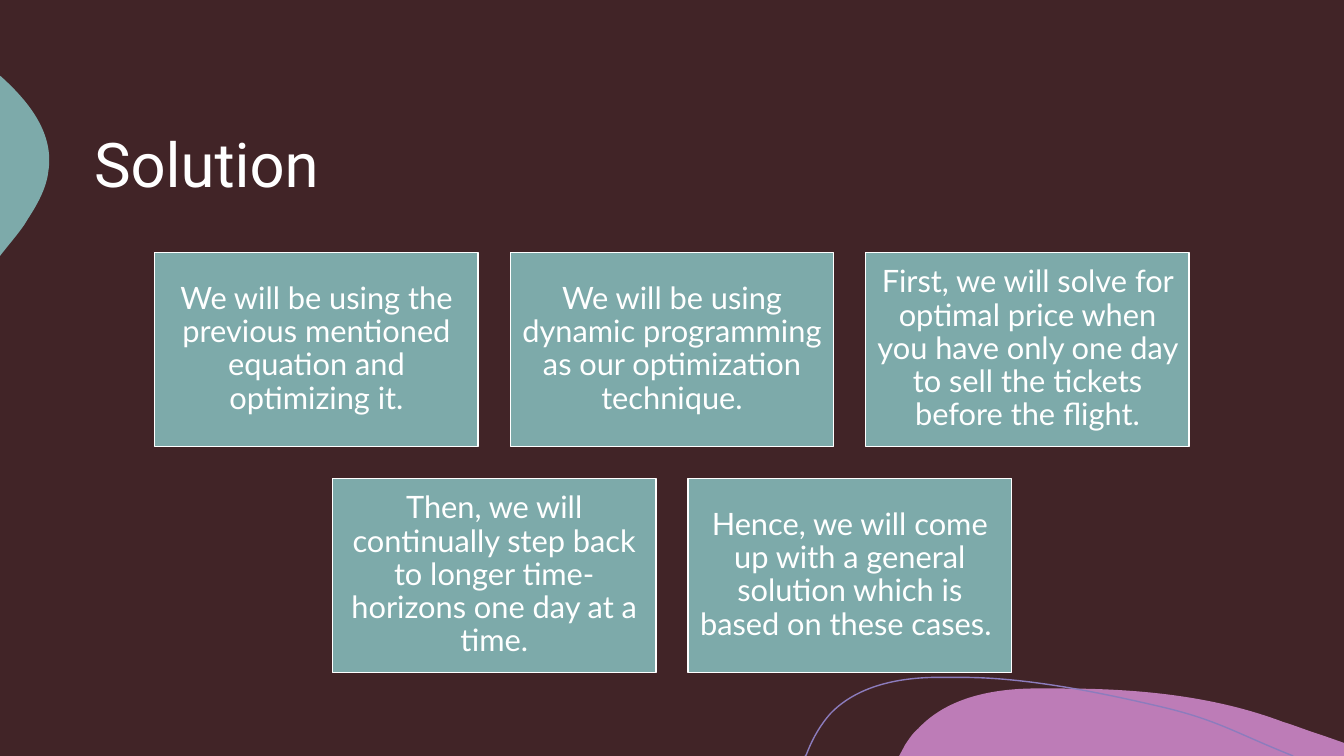
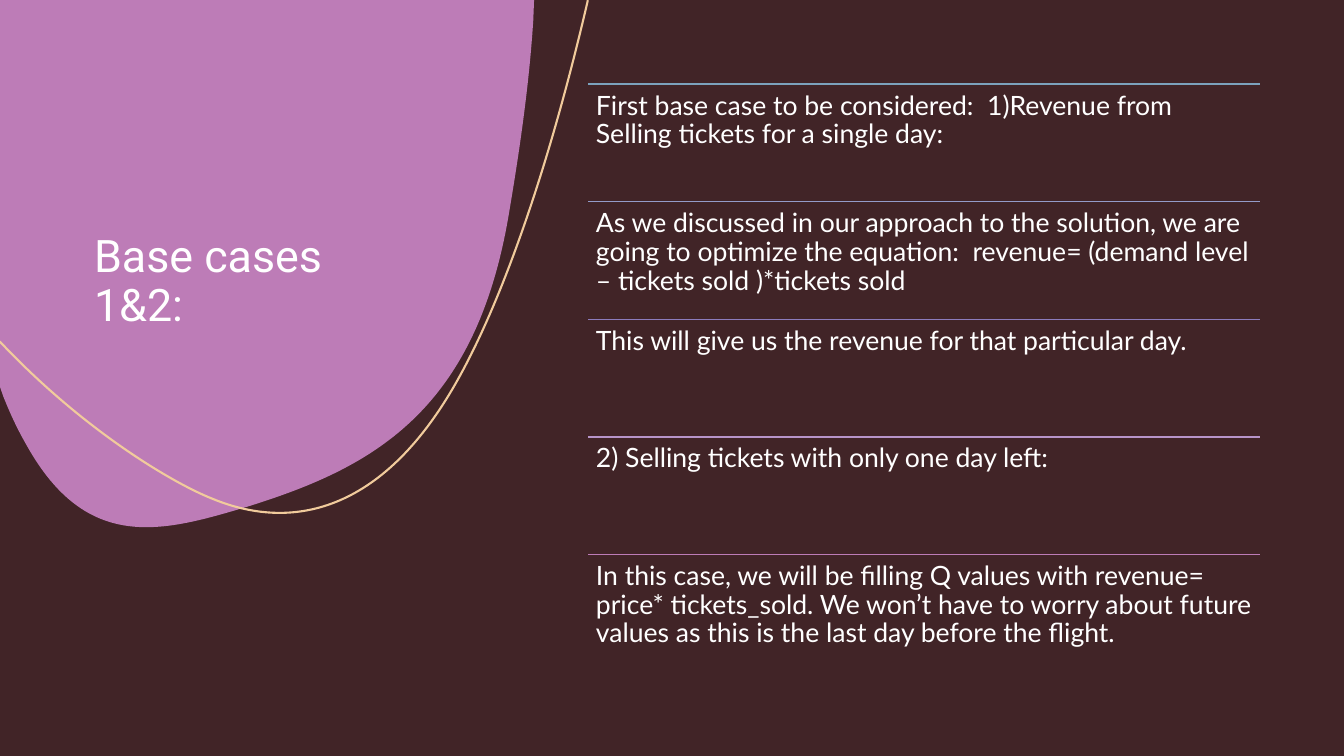
from lxml.etree import SubElement
from pptx import Presentation
from pptx.dml.color import RGBColor
from pptx.enum.shapes import MSO_CONNECTOR as Connector, MSO_SHAPE as Shape
from pptx.enum.text import MSO_ANCHOR as Anchor, PP_ALIGN as Align
from pptx.oxml.ns import qn
from pptx.util import Cm, Pt

COLORS = {
    "ground": "412427", "text": "FFFFFF", "teal": "7DAAAA", "mauve": "BD7CB7",
    "violet": "8C7CBD", "gold": "F1CB9C", "blue": "7CA2BD",
    "periwinkle": "949CC9", "lilac": "B794C9",
}
FONTS = {"title": "Roboto", "body": "Lato"}
SLIDE_W, SLIDE_H = 33.87, 19.05
MARGIN = 2.12
CURVE_STEPS = 24

MAUVE_WAVE = [
    (26.77, 17.35), (28.65, 17.35, 30.58, 17.53, 32.33, 18.19),
    (32.66, 18.29, 32.97, 18.42, 33.3, 18.52), (SLIDE_W, 18.72),
    (SLIDE_W, SLIDE_H), (22.66, SLIDE_H), (22.81, 18.77),
    (22.91, 18.62, 22.99, 18.49, 23.14, 18.36),
    (23.85, 17.6, 24.94, 17.37, 25.98, 17.35),
    (26.24, 17.35, 26.49, 17.35, 26.77, 17.35),
]
TEAL_BUMP = [
    (0, 1.91), (0.03, 1.93), (0.76, 2.59, 1.37, 3.38, 1.22, 4.32),
    (1.17, 4.75, 0.94, 5.16, 0.69, 5.54),
    (0.61, 5.69, 0.43, 5.92, 0.2, 6.2), (0, 6.45),
]
VIOLET_ARC = [
    (20.29, SLIDE_H), (20.32, 19.02), (20.47, 18.62, 20.68, 18.26, 20.93, 17.98),
    (21.59, 17.3, 22.58, 17.09, 23.52, 17.07), (24.26, 17.07),
    (25.96, 17.07, 27.94, 17.5, 29.34, 17.83),
    (30.71, 18.16, 31.14, 18.47, 32.59, SLIDE_H),
]
MAUVE_BLOB = [
    (13.46, 0), (13.44, 0.51), (13.34, 2.08, 13.11, 3.71, 12.83, 5.36),
    (11.99, 10.44, 9.32, 11.81, 6.2, 12.78),
    (4.09, 13.41, 2.18, 13.94, 0.66, 11.2),
    (0.43, 10.8, 0.25, 10.41, 0.08, 9.98), (0, 9.75), (0, 0), (13.46, 0),
]
GOLD_ARC = [
    (14.81, 0), (14.81, 0.03), (13.89, 3.99, 12.73, 7.44, 11.53, 9.58),
    (9.73, 12.8, 7.47, 13.44, 5.36, 12.57),
    (4.39, 12.19, 2.13, 10.87, 0, 8.61), (0, 8.59),
]

SOLUTION_ROWS = [
    [
        "We will be using the previous mentioned equation and optimizing it.",
        "We will be using dynamic programming as our optimization technique.",
        "First, we will solve for optimal price when you have only one day to "
        "sell the tickets before the flight.",
    ],
    [
        "Then, we will continually step back to longer time-horizons one day at a time.",
        "Hence, we will come up with a general solution which is based on these cases. ",
    ],
]
BASE_CASES = [
    ("blue", "First base case to be considered:  1)Revenue from Selling tickets "
             "for a single day:"),
    ("periwinkle", "As we discussed in our approach to the solution, we are going to "
                   "optimize the equation:  revenue= (demand level – tickets sold )"
                   "*tickets sold"),
    ("violet", "This will give us the revenue for that particular day."),
    ("lilac", "2) Selling tickets with only one day left:"),
    ("mauve", "In this case, we will be filling Q values with revenue= price* "
              "tickets_sold. We won’t have to worry about future values as this is "
              "the last day before the flight."),
]


def rgb(color):
    """Look up a palette colour."""
    return RGBColor.from_string(COLORS[color])


def cm_box(*lengths):
    """Turn centimetre numbers into lengths."""
    return [Cm(length) for length in lengths]


def write(shape, text, size, font="body", align=Align.LEFT, anchor=Anchor.TOP,
          inset=(0.25, 0.13)):
    """Fill a shape with one formatted paragraph."""
    frame = shape.text_frame
    frame.word_wrap = True
    frame.vertical_anchor = anchor
    frame.margin_left = frame.margin_right = Cm(inset[0])
    frame.margin_top = frame.margin_bottom = Cm(inset[1])
    paragraph = frame.paragraphs[0]
    paragraph.alignment = align
    paragraph.line_spacing = 0.9
    run = paragraph.add_run()
    run.text = text
    run.font.size = Pt(size)
    run.font.name = FONTS[font]
    run.font.color.rgb = rgb("text")


def style(shape, fill=None, line=None, line_width=1):
    """Set fill and line, leaving out what is not given."""
    shape.shadow.inherit = False
    if fill:
        shape.fill.solid()
        shape.fill.fore_color.rgb = rgb(fill)
    else:
        shape.fill.background()
    if line:
        shape.line.color.rgb = rgb(line)
        shape.line.width = Pt(line_width)
    else:
        shape.line.fill.background()


def outline_points(outline):
    """Sample an outline to find its extent."""
    points = [outline[0]]
    for segment in outline[1:]:
        if len(segment) == 2:
            points.append(segment)
            continue
        nodes = [points[-1], segment[:2], segment[2:4], segment[4:]]
        for step in range(1, CURVE_STEPS + 1):
            t = step / CURVE_STEPS
            weights = ((1 - t) ** 3, 3 * t * (1 - t) ** 2, 3 * t * t * (1 - t), t ** 3)
            points.append(tuple(
                sum(weight * node[axis] for weight, node in zip(weights, nodes))
                for axis in (0, 1)))
    return points


def set_curves(curve, outline, closed):
    """Give a freeform true cubic curves within its extent."""
    track = next(curve._element.iter(qn("a:path")))
    for child in list(track):
        track.remove(child)
    for index, segment in enumerate(outline):
        tag = "a:moveTo" if index == 0 else "a:lnTo" if len(segment) == 2 else "a:cubicBezTo"
        command = SubElement(track, qn(tag))
        for x, y in zip(segment[::2], segment[1::2]):
            SubElement(command, qn("a:pt"), x=str(Cm(x) - curve.left),
                       y=str(Cm(y) - curve.top))
    if closed:
        SubElement(track, qn("a:close"))


def add_outline(slide, outline, **look):
    """Draw a curved area, or an open line if it has no fill."""
    closed = "fill" in look
    start, *rest = [cm_box(*point) for point in outline_points(outline)]
    builder = slide.shapes.build_freeform(*start)
    builder.add_line_segments(rest, close=closed)
    curve = builder.convert_to_shape()
    set_curves(curve, outline, closed)
    style(curve, **look)
    return curve


def add_box(slide, box, **look):
    """Draw a rectangle."""
    rectangle = slide.shapes.add_shape(Shape.RECTANGLE, *cm_box(*box))
    style(rectangle, **look)
    return rectangle


def add_rule(slide, left, top, width, color):
    """Draw a thin horizontal rule."""
    rule = slide.shapes.add_connector(
        Connector.STRAIGHT, *cm_box(left, top, left + width, top))
    rule.line.color.rgb = rgb(color)
    rule.line.width = Pt(1)
    SubElement(rule._element.spPr, qn("a:effectLst"))


def add_title(slide, text, box, size, anchor):
    """Place the slide title in its box."""
    title = slide.shapes.add_textbox(*cm_box(*box))
    write(title, text, size, font="title", anchor=anchor)


def add_cards(slide, rows, box, gap=0.81, card_width=8.15):
    """Lay out centred rows of cards inside the box."""
    left, top, width, height = box
    card_height = (height - gap * (len(rows) - 1)) / len(rows)
    for row_index, row in enumerate(rows):
        row_width = len(row) * (card_width + gap) - gap
        row_left = left + (width - row_width) / 2
        card_top = top + row_index * (card_height + gap)
        for column, text in enumerate(row):
            card_left = row_left + column * (card_width + gap)
            card = add_box(slide, (card_left, card_top, card_width, card_height),
                           fill="teal", line="text")
            write(card, text, 22, align=Align.CENTER, anchor=Anchor.MIDDLE,
                  inset=(0.23, 0.23))


def add_ruled_list(slide, entries, box):
    """Stack entries of equal height, each under its own rule."""
    left, top, width, height = box
    entry_height = height / len(entries)
    for index, (color, text) in enumerate(entries):
        entry_top = top + index * entry_height
        add_rule(slide, left, entry_top, width, color)
        entry = slide.shapes.add_textbox(
            *cm_box(left, entry_top, width, entry_height))
        write(entry, text, 19, inset=(0.2, 0.2))


def decorate_layout(slide):
    """Move the shared waves onto the layout of the slide."""
    waves = [
        add_outline(slide, MAUVE_WAVE, fill="mauve"),
        add_outline(slide, TEAL_BUMP, fill="teal"),
        add_outline(slide, VIOLET_ARC, line="violet"),
    ]
    for wave in waves:
        slide.slide_layout.shapes._spTree.append(wave._element)


def new_slide(deck):
    """Add a blank slide with the shared background."""
    slide = deck.slides.add_slide(deck.slide_layouts[6])
    slide.background.fill.solid()
    slide.background.fill.fore_color.rgb = rgb("ground")
    return slide


def solution_slide(deck):
    """Build the slide of solution cards."""
    slide = new_slide(deck)
    decorate_layout(slide)
    content_width = SLIDE_W - 2 * MARGIN
    add_title(slide, "Solution", (MARGIN, MARGIN, content_width, 4.23), 44,
              Anchor.MIDDLE)
    add_cards(slide, SOLUTION_ROWS, (MARGIN, 6.36, content_width, 10.58))


def base_cases_slide(deck):
    """Build the slide of base cases."""
    slide = new_slide(deck)
    add_box(slide, (0, 0, SLIDE_W, SLIDE_H), fill="ground")
    add_outline(slide, MAUVE_BLOB, fill="mauve")
    add_outline(slide, GOLD_ARC, line="gold", line_width=1.5)
    add_title(slide, "Base cases 1&2:", (MARGIN, MARGIN, 8.47, 6.35), 32,
              Anchor.BOTTOM)
    add_ruled_list(slide, BASE_CASES, (14.82, MARGIN, 16.93, 14.82))


def main():
    """Build and save the deck."""
    deck = Presentation()
    deck.slide_width, deck.slide_height = cm_box(SLIDE_W, SLIDE_H)
    solution_slide(deck)
    base_cases_slide(deck)
    deck.save("out.pptx")


if __name__ == "__main__":
    main()
